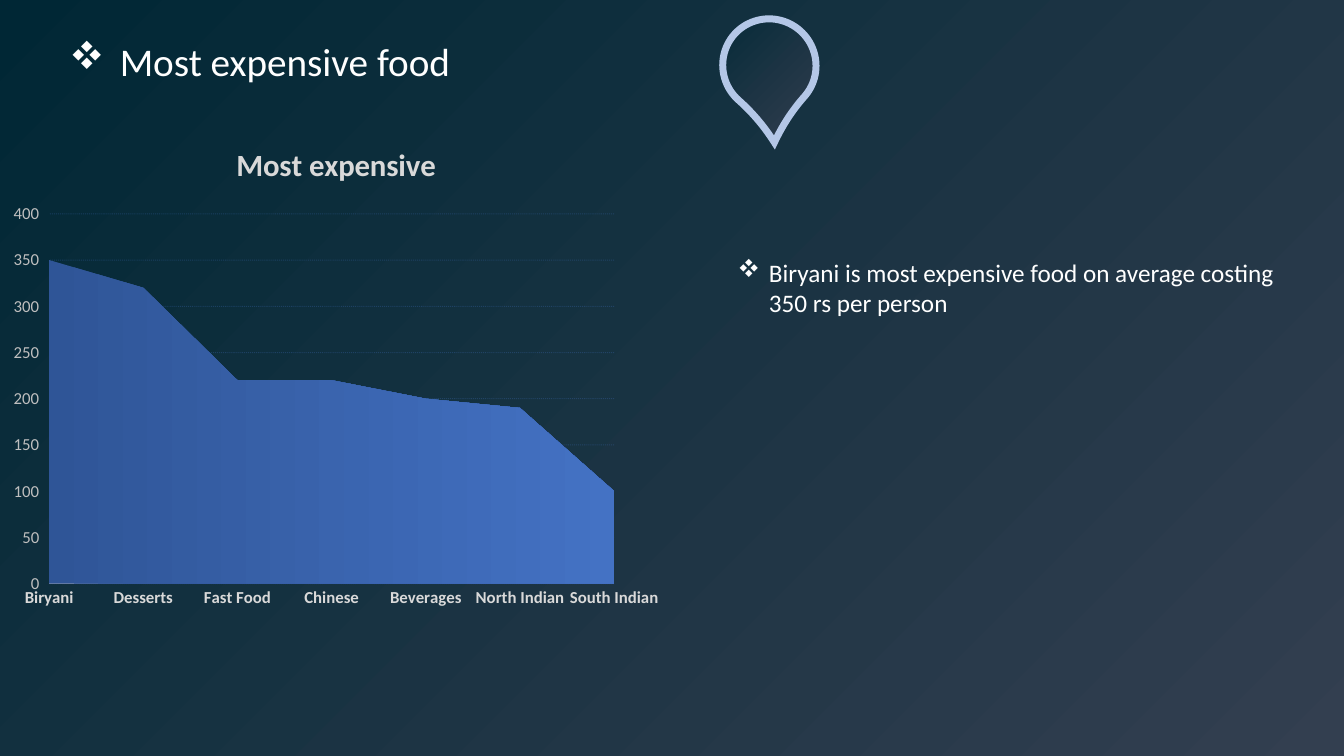
from dataclasses import dataclass

from lxml.etree import SubElement
from pptx import Presentation
from pptx.chart.data import CategoryChartData
from pptx.dml.color import RGBColor
from pptx.enum.chart import XL_CHART_TYPE, XL_TICK_MARK
from pptx.enum.dml import MSO_LINE
from pptx.enum.shapes import MSO_SHAPE
from pptx.oxml import parse_xml
from pptx.oxml.ns import nsdecls, qn
from pptx.util import Cm, Pt


@dataclass(frozen=True)
class Theme:
    font: str = "Calibri"
    signs: str = "Wingdings"
    white: str = "FFFFFF"
    dark: str = "002735"
    slate: str = "333F50"
    pale: str = "B4C7E7"
    navy: str = "2F5597"
    blue: str = "4472C4"
    label: str = "D9D9D9"
    grey: str = "BFBFBF"
    head: float = 28
    title: float = 22
    body: float = 18
    tick: float = 12


class Deck:
    """Holds the style and the current slide, and draws each kind of element."""

    def __init__(self, theme):
        self.theme = theme
        self.show = Presentation()
        self.show.slide_width, self.show.slide_height = Cm(33.87), Cm(19.05)
        self.slide = self.show.slides.add_slide(self.show.slide_layouts[6])

    def style(self, font, size, color, bold=False):
        font.name, font.size, font.bold = self.theme.font, Pt(size), bold
        font.color.rgb = RGBColor.from_string(color)

    def blend(self, fill, first, last):
        fill.gradient()
        for stop, color, place in zip(fill.gradient_stops, (first, last), (0, 1)):
            stop.color.rgb = RGBColor.from_string(color)
            stop.position = place

    def glow(self, fill, owner):
        self.blend(fill, self.theme.dark, self.theme.slate)
        grad = owner.element.find(".//" + qn("a:gradFill"))
        grad.set("rotWithShape", "0")
        ring = parse_xml(
            f'<a:path {nsdecls("a")} path="circle">'
            '<a:fillToRect r="100000" b="100000"/></a:path>')
        grad.replace(grad.find(qn("a:lin")), ring)

    def back(self):
        self.glow(self.slide.background.fill, self.slide)

    def drop(self, left, top, width, height, turn, point):
        drop = self.slide.shapes.add_shape(
            MSO_SHAPE.TEAR, Cm(left), Cm(top), Cm(width), Cm(height))
        drop.shadow.inherit = False
        drop.adjustments[0] = point
        drop.rotation = turn
        drop.element.spPr.find(qn("a:xfrm")).set("flipH", "1")
        self.glow(drop.fill, drop)
        drop.line.color.rgb = RGBColor.from_string(self.theme.pale)
        drop.line.width = Pt(5)
        SubElement(drop.element.spPr.find(qn("a:ln")), qn("a:miter"), lim="800000")

    def bullet(self, text, left, top, width, height, size, indent):
        box = self.slide.shapes.add_textbox(
            Cm(left), Cm(top), Cm(width), Cm(height))
        frame = box.text_frame
        frame.word_wrap = True
        frame.text = text
        self.style(frame.paragraphs[0].runs[0].font, size, self.theme.white)
        props = box.element.txBody.p_lst[0].get_or_add_pPr()
        props.set("marL", str(Cm(indent)))
        props.set("indent", str(-Cm(indent)))
        SubElement(props, qn("a:buFont"), typeface=self.theme.signs, charset="2")
        SubElement(props, qn("a:buChar"), char="v")

    def place(self, parent, index, **spots):
        old = parent.find(qn("c:layout"))
        if old is not None:
            parent.remove(old)
        modes = {"layoutTarget": "inner"} if "w" in spots else {}
        modes.update(xMode="edge", yMode="edge", **spots)
        items = "".join(f'<c:{key} val="{val}"/>' for key, val in modes.items())
        parent.insert(index, parse_xml(
            f'<c:layout {nsdecls("c")}><c:manualLayout>{items}'
            '</c:manualLayout></c:layout>'))

    def area(self, title, costs, left, top, width, height):
        theme = self.theme
        data = CategoryChartData()
        data.categories = list(costs)
        data.add_series("Series 1", list(costs.values()))
        chart = self.slide.shapes.add_chart(
            XL_CHART_TYPE.AREA, Cm(left), Cm(top), Cm(width), Cm(height),
            data).chart
        self.style(chart.font, theme.tick, theme.grey)
        chart.has_legend = False
        chart.has_title = True
        head = chart.chart_title
        head.text_frame.text = title
        self.style(head.text_frame.paragraphs[0].runs[0].font,
                   theme.title, theme.label, True)
        self.place(head.element, 1, x=5.82 / width, y=0.4 / height)
        self.place(chart.element.find(".//" + qn("c:plotArea")), 0,
                   x=1.24 / width, y=2.32 / height,
                   w=14.24 / width, h=9.32 / height)

        plot = chart.plots[0]
        plot.vary_by_categories = False
        fill = plot.series[0].format.fill
        self.blend(fill, theme.navy, theme.blue)
        fill.gradient_angle = 0

        foods, price = chart.category_axis, chart.value_axis
        self.style(foods.tick_labels.font, theme.tick, theme.label, True)
        foods.major_tick_mark = XL_TICK_MARK.NONE
        foods.format.line.color.rgb = RGBColor.from_string(theme.grey)
        foods.format.line.width = Pt(0.75)

        self.style(price.tick_labels.font, theme.tick, theme.grey)
        price.minimum_scale, price.maximum_scale = 0, 400
        price.major_unit = 50
        price.major_tick_mark = XL_TICK_MARK.OUTSIDE
        price.format.line.fill.background()
        price.has_major_gridlines = True
        grid = price.major_gridlines.format.line
        grid.color.rgb = RGBColor.from_string(theme.blue)
        grid.width = Pt(0.75)
        grid.dash_style = MSO_LINE.ROUND_DOT
        tint = chart.element.find(
            f'.//{qn("c:majorGridlines")}//{qn("a:srgbClr")}')
        SubElement(tint, qn("a:alpha"), val="28000")

    def save(self):
        self.show.save("out.pptx")


def main():
    theme = Theme()
    deck = Deck(theme)
    deck.back()
    deck.drop(18.21, 0.48, 2.36, 2.34, 221.5, 1.17)
    deck.bullet("Most expensive food", 1.5, 0.81, 18.08, 1.45, theme.head, 1.27)
    deck.bullet("Biryani is most expensive food on average costing 350 rs per person",
                18.34, 6.35, 14.48, 1.8, theme.body, 0.79)
    costs = {"Biryani": 350, "Desserts": 320, "Fast Food": 220, "Chinese": 220,
             "Beverages": 200, "North Indian": 190, "South Indian": 100}
    deck.area("Most expensive", costs, 0, 3.07, 16.94, 12.47)
    deck.save()


if __name__ == "__main__":
    main()
